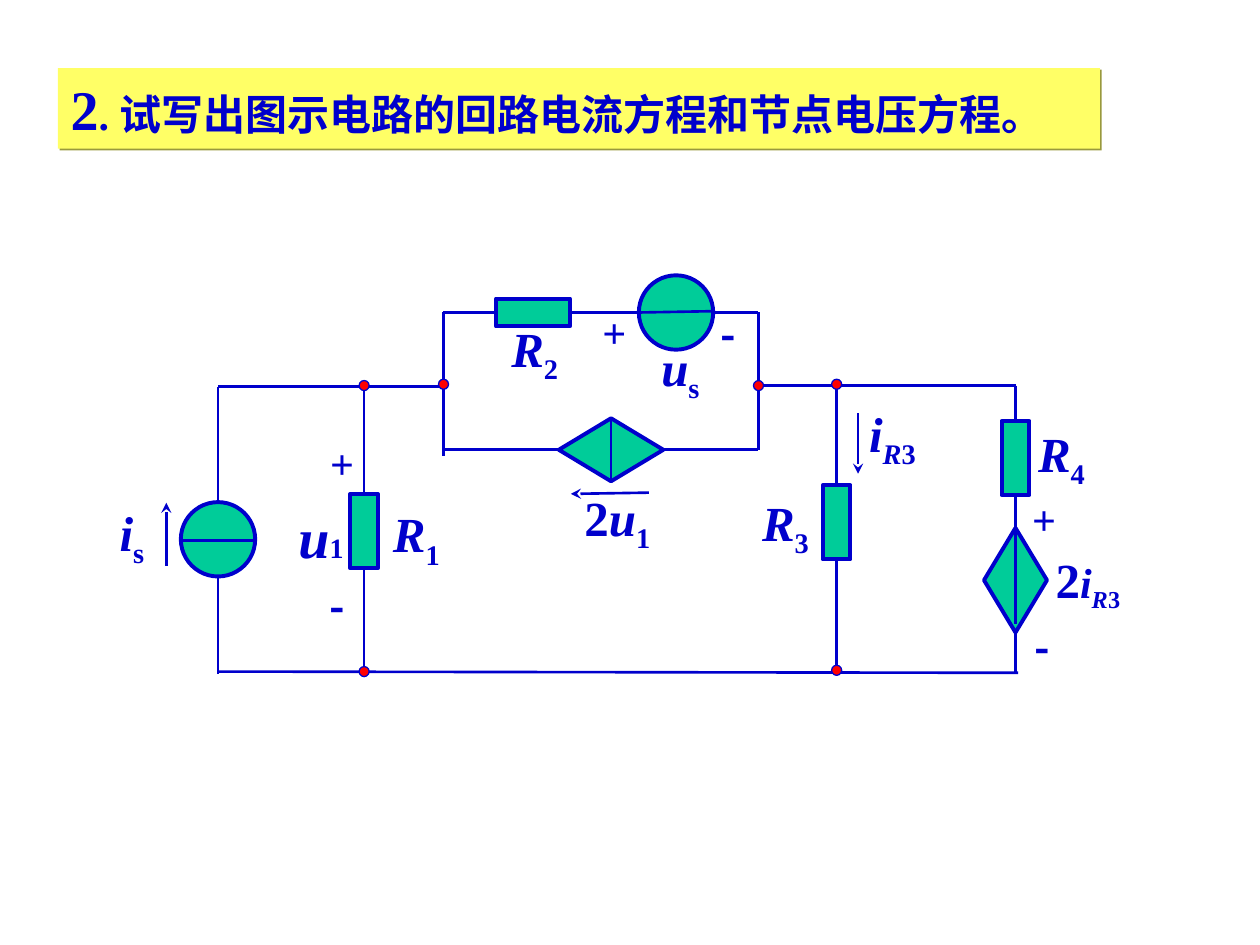
from dataclasses import dataclass
from typing import NamedTuple, Union

from lxml import etree
from pptx import Presentation, util as u
from pptx.dml.color import RGBColor
from pptx.enum import shapes, text
from pptx.oxml import ns

INK = {"line": "0000CC", "part": "00CC99", "node": "FF0000",
       "band": "FFFF66", "shade": "99993D"}
SERIF, SANS = "Times New Roman", "Noto Sans CJK SC"
COLS, ROWS = 100, 75
KIND = shapes.MSO_SHAPE

deck = Presentation()
deck.slide_width, deck.slide_height = u.Inches(10), u.Inches(7.5)
slide = deck.slides.add_slide(deck.slide_layouts[5])


class Run(NamedTuple):
    text: str
    size: float = 28
    slant: bool = False
    sub: bool = False
    font: str = SERIF


class Joint(NamedTuple):
    name: str
    side: int  # 0 top, 1 left, 2 bottom, 3 right


class Spot(NamedTuple):
    col: float
    row: float


End = Union[Joint, Spot]


@dataclass
class Part:
    name: str
    kind: int
    mid: Spot
    wide: float
    high: float


@dataclass
class Label:
    col: float
    row: float
    wide: float
    runs: list[Run]
    high: float = 6.3


def gx(col: float) -> int:
    return round(deck.slide_width * col / COLS)


def gy(row: float) -> int:
    return round(deck.slide_height * row / ROWS)


def hue(key: str) -> RGBColor:
    return RGBColor.from_string(INK[key])


def add_part(part: Part, fill: str = "part", width: float = 2.25):
    shape = slide.shapes.add_shape(
        part.kind, gx(part.mid.col - part.wide / 2),
        gy(part.mid.row - part.high / 2), gx(part.wide), gy(part.high))
    shape.shadow.inherit = False
    shape.fill.solid()
    shape.fill.fore_color.rgb = hue(fill)
    shape.line.color.rgb = hue("line")
    shape.line.width = u.Pt(width)
    return shape


def add_wire(start: End, end: End, made: dict, arrow: bool = False) -> None:
    a, b = (Spot(0, 0) if isinstance(e, Joint) else e for e in (start, end))
    wire = slide.shapes.add_connector(
        shapes.MSO_CONNECTOR.STRAIGHT, gx(a.col), gy(a.row), gx(b.col), gy(b.row))
    if isinstance(start, Joint):
        wire.begin_connect(made[start.name], start.side)
    if isinstance(end, Joint):
        wire.end_connect(made[end.name], end.side)
    wire.line.color.rgb = hue("line")
    wire.line.width = u.Pt(1.5)
    if arrow:
        etree.SubElement(wire.line._get_or_add_ln(), ns.qn("a:tailEnd"), type="stealth")
    etree.SubElement(wire._element.spPr, ns.qn("a:effectLst"))


def add_runs(para, runs: list[Run]) -> None:
    for item in runs:
        run = para.add_run()
        run.text = item.text
        font = run.font
        font.name, font.size = item.font, u.Pt(item.size)
        font.bold, font.italic = True, item.slant
        font.color.rgb = hue("line")
        props = font._element
        if item.sub:
            props.set("baseline", "-25000")
        if item.font == SANS:
            props.find(ns.qn("a:latin")).addnext(
                etree.Element(ns.qn("a:ea"), typeface=SANS))


def add_label(label: Label, sign: bool = False) -> None:
    box = slide.shapes.add_textbox(
        gx(label.col), gy(label.row), gx(label.wide), gy(label.high))
    frame = box.text_frame
    frame.word_wrap = not sign
    para = frame.paragraphs[0]
    if sign:
        frame.vertical_anchor = text.MSO_ANCHOR.MIDDLE
        para.alignment = text.PP_ALIGN.CENTER
    add_runs(para, label.runs)


def add_title() -> None:
    band = slide.shapes.title
    band.left, band.top, band.width, band.height = gx(4.6), gy(5.4), gx(82.7), gy(6.4)
    band.fill.solid()
    band.fill.fore_color.rgb = hue("band")
    fx = etree.SubElement(band._element.spPr, ns.qn("a:effectLst"))
    cast = etree.SubElement(fx, ns.qn("a:outerShdw"), dist=str(u.Pt(1.4)),
                            dir="2700000", algn="ctr", rotWithShape="0")
    etree.SubElement(cast, ns.qn("a:srgbClr"), val=INK["shade"])
    frame = band.text_frame
    frame.auto_size = text.MSO_AUTO_SIZE.NONE
    frame.word_wrap = True
    frame.vertical_anchor = text.MSO_ANCHOR.MIDDLE
    para = frame.paragraphs[0]
    para.alignment = text.PP_ALIGN.LEFT
    add_runs(para, [Run("2", 32), Run(". ", 24),
                    Run("试写出图示电路的回路电流方程和节点电压方程。", 24, font=SANS)])


def name(head: str, tail: str) -> list[Run]:
    return [Run(head, slant=True), Run(tail, sub=True)]


# Circuit lines: main columns and rows
IS, C1, L, R, C3, C4 = 17.3, 28.9, 35.2, 60.2, 66.4, 80.6
TOP, MAIN, LOW, BASE = 24.8, 30.7, 35.7, 53.3

parts = [
    Part("R1", KIND.RECTANGLE, Spot(C1, 42.15), 2.2, 5.9),
    Part("R2", KIND.RECTANGLE, Spot(42.3, TOP), 5.9, 2.2),
    Part("R3", KIND.RECTANGLE, Spot(C3, 41.45), 2.2, 5.9),
    Part("R4", KIND.RECTANGLE, Spot(C4, 36.35), 2.2, 5.9),
    Part("2u", KIND.DIAMOND, Spot(48.5, LOW), 8.3, 5),
    Part("2i", KIND.DIAMOND, Spot(C4, 46.05), 5, 8.3),
]
rounds = [
    Part("is", KIND.OVAL, Spot(IS, 42.8), 5.9, 5.9),
    Part("us", KIND.OVAL, Spot(53.65, TOP), 5.9, 5.9),
]
wires = [
    (Spot(IS, MAIN), Spot(L, MAIN)),
    (Spot(IS, MAIN), Spot(IS, 53.5)),
    (Spot(C1, MAIN), Joint("R1", 0)),
    (Joint("R1", 2), Spot(C1, BASE)),
    (Spot(L, TOP), Spot(L, 36.2)),
    (Spot(L, TOP), Joint("R2", 1)),
    (Joint("R2", 3), Spot(R, TOP)),
    (Spot(L, LOW), Joint("2u", 1)),
    (Joint("2u", 3), Spot(R, LOW)),
    (Spot(R, TOP), Spot(R, LOW)),
    (Spot(R, 30.6), Spot(C4, 30.6)),
    (Spot(C3, 30.6), Joint("R3", 0)),
    (Joint("R3", 2), Spot(C3, BASE)),
    (Spot(C4, 30.6), Joint("R4", 0)),
    (Joint("R4", 2), Joint("2i", 0)),
    (Joint("2i", 2), Spot(C4, 53.5)),
    (Spot(IS, BASE), Spot(C4 + 0.2, 53.4)),
]
bars = [
    (Spot(14.4, 42.9), Spot(20.3, 42.9)),
    (Spot(50.8, TOP), Spot(56.6, 24.7)),
    (Spot(48.5, 33.2), Spot(48.5, 38.2)),
    (Spot(C4, 41.9), Spot(C4, 49.5)),
]
arrows = [
    (Spot(13.2, 44.9), Spot(13.2, 39.9)),
    (Spot(51.5, 39.1), Spot(45.3, 39.2)),
    (Spot(68.1, 32.8), Spot(68.1, 37.6)),
]
nodes = [Spot(C1, 30.6), Spot(L, 30.5), Spot(R, 30.6), Spot(C3, 30.5),
         Spot(C1, BASE), Spot(C3, 53.2)]
labels = [
    Label(8.5, 39.4, 5.8, name("i", "s")),
    Label(22.7, 39.4, 5.8, [Run("u", 32, True), Run("1", 16)]),
    Label(30.2, 39.5, 6.7, name("R", "1")),
    Label(39.6, 24.8, 6.7, name("R", "2")),
    Label(59.5, 38.6, 6.7, name("R", "3")),
    Label(81.4, 33.1, 6.7, name("R", "4")),
    Label(51.5, 26.3, 5.7, name("u", "s")),
    Label(45.4, 38.2, 8.3, [Run("2"), *name("u", "1")]),
    Label(68, 31.5, 7.3, [Run("i", slant=True), Run("R", slant=True, sub=True),
                          Run("3", sub=True)]),
    Label(82.8, 43.1, 10.3, [Run("2"), Run("i", 24, True),
                             Run("R", 24, True, True), Run("3", 24, sub=True)]),
]
pluses = [Spot(25.2, 34.2), Spot(46.8, 23.8), Spot(80.9, 38.7)]
minuses = [Spot(25.2, 45.6), Spot(56.2, 24), Spot(81.1, 48.8)]

# Title band
add_title()

# Circuit, from back to front
made = {part.name: add_part(part) for part in parts}
for start, end in wires:
    add_wire(start, end, made)
for part in rounds:
    add_part(part)
for start, end in bars:
    add_wire(start, end, made)
for start, end in arrows:
    add_wire(start, end, made, arrow=True)
for spot in nodes:
    add_part(Part("node", KIND.OVAL, spot, 0.8, 0.8), "node", 0.75)

# Names and polarity signs
for label in labels:
    add_label(label)
for spot in pluses:
    add_label(Label(*spot, 3.9, [Run("+", 24)], 5), sign=True)
for spot in minuses:
    add_label(Label(*spot, 3.1, [Run("-", 24, font=SANS)], 5), sign=True)

deck.save("out.pptx")
